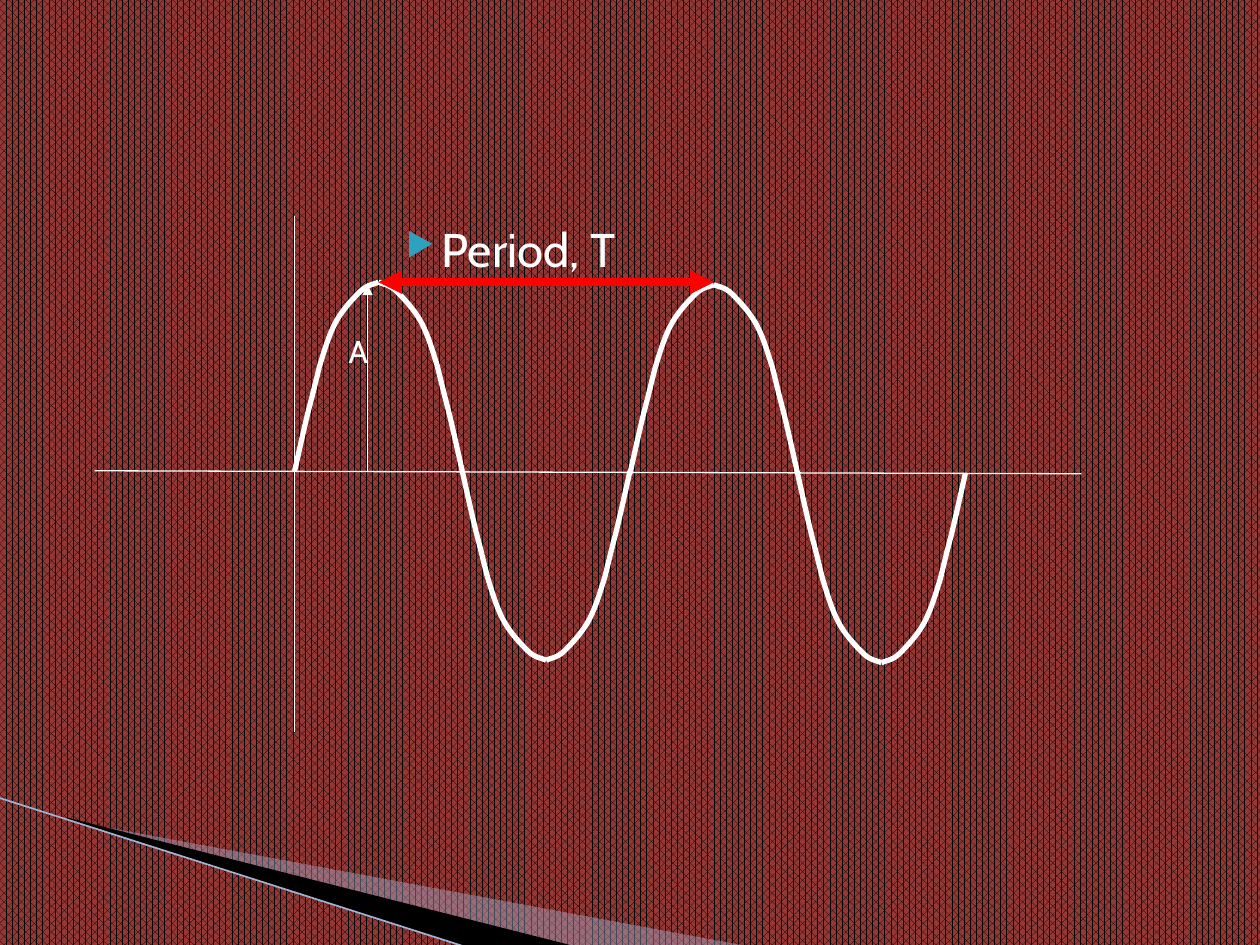
from lxml import etree
from pptx import Presentation
from pptx.dml.color import RGBColor
from pptx.enum.dml import MSO_PATTERN
from pptx.enum.shapes import MSO_CONNECTOR
from pptx.oxml.ns import qn
from pptx.util import Cm, Pt

DOTS = MSO_PATTERN.PERCENT_70
LINE = MSO_CONNECTOR.STRAIGHT
FONT = "Cabin"
INK = {"back": "953735", "black": "000000", "white": "FFFFFF", "red": "FF0000",
       "mist": "A7B9DB", "edge": "9EB3D6", "mark": "2DA2BF"}

# Rising quarter of the wave as unit Bezier points: start, then three per curve
RISE = [(0, 0), (.06, .12), (.12, .24), (.17, .33), (.23, .43), (.26, .49),
        (.30, .56), (.35, .63), (.40, .71), (.48, .78), (.56, .85), (.69, .91),
        (.78, .95), (.87, .99), (.96, .99), (1, 1)]


def tint(name):
    return RGBColor.from_string(INK[name])


def add_line(slide, start, end, color, width, ends=()):
    line = slide.shapes.add_connector(LINE, *map(Cm, start + end))
    line.line.color.rgb = tint(color)
    line.line.width = Pt(width)
    pen = line.line._get_or_add_ln()
    for tag in ends:
        etree.SubElement(pen, qn(tag), type="triangle")
    etree.SubElement(line._element.spPr, qn("a:effectLst"))


def add_path(slide, points, closed):
    spots = [(Cm(x), Cm(y)) for x, y in points]
    path = slide.shapes.build_freeform(*spots[0], scale=1.0)
    path.add_line_segments(spots[1:], close=closed)
    shape = path.convert_to_shape()
    shape.shadow.inherit = False
    return shape


def bend(shape):
    """Turn each three line segments into one cubic Bezier curve."""
    outline = shape._element.spPr.find(".//" + qn("a:path"))
    legs = outline.findall(qn("a:lnTo"))
    for i in range(0, len(legs), 3):
        cubic = etree.SubElement(outline, qn("a:cubicBezTo"))
        for leg in legs[i:i + 3]:
            cubic.append(leg[0])
            outline.remove(leg)


def add_text(slide, box, text, size):
    frame = slide.shapes.add_textbox(*map(Cm, box)).text_frame
    frame.word_wrap = True
    para = frame.paragraphs[0]
    para.text = text
    font = para.runs[0].font
    font.name, font.size = FONT, Pt(size)
    font.color.rgb = tint("white")
    return para


def add_bullet(para, left, hang):
    props = para._p.get_or_add_pPr()
    props.set("marL", str(Cm(left)))
    props.set("indent", str(-Cm(hang)))
    color = etree.SubElement(props, qn("a:buClr"))
    etree.SubElement(color, qn("a:srgbClr"), val=INK["mark"])
    etree.SubElement(props, qn("a:buSzPct"), val="68000")
    etree.SubElement(props, qn("a:buChar"), char="▶")


def draw_corner(slide, left, top):
    """Wedges and edge line at the lower left."""
    wedges = [("mist", 40, [(1.4, .46), (15.11, 3), (11.58, 3), (1.4, .43)]),
              ("black", 100, [(1.35, .4), (11.61, 3), (9.45, 3.02), (1.37, .43)])]
    for color, alpha, points in wedges:
        shape = add_path(slide, [(left + x, top + y) for x, y in points], True)
        shape.fill.solid()
        shape.fill.fore_color.rgb = tint(color)
        shape.line.fill.background()
        if alpha < 100:
            fill = shape._element.spPr.find(".//" + qn("a:srgbClr"))
            etree.SubElement(fill, qn("a:alpha"), val=str(alpha * 1000))
    add_line(slide, (left - .03, top), (left + 9.42, top + 3.02), "edge", .95)


def draw_wave(slide, left, mid, wide, high):
    """Two cycles; each quarter is the rising one, mirrored as needed."""
    for i in range(8):
        cycle, part = divmod(i, 4)
        back = part % 2
        sign = -1 if part < 2 else 1
        start = left + (i + back) * wide
        base = mid + cycle * .05
        points = [(start + (-x if back else x) * wide, base + sign * y * high)
                  for x, y in RISE]
        shape = add_path(slide, points, False)
        bend(shape)
        shape.fill.background()
        shape.line.color.rgb = tint("white")
        shape.line.width = Pt(3)


def draw_graph(slide, left, mid, wide, high):
    """Axes, wave and its measures, placed from the wave's origin."""
    peak = left + wide
    crest = mid - high
    # Axes and wave
    add_line(slide, (left - 4.03, mid - .01), (left + 15.86, mid + .05), "white", .75)
    draw_wave(slide, left, mid, wide, high)
    add_line(slide, (left, mid + 5.25), (left, mid - 5.14), "white", .75)
    # Period
    label = add_text(slide, (peak, crest - 1.37, 6.12, 1.42), "Period, T", 27)
    add_bullet(label, 1.02, .71)
    add_line(slide, (peak, crest), (peak + 4 * wide, crest), "red", 4.5,
             ("a:headEnd", "a:tailEnd"))
    # Amplitude
    add_text(slide, (left + .84, crest + .87, 2.95, 1.02), "A", 18)
    add_line(slide, (left + 1.47, mid), (left + 1.47, crest + .05), "white", .75,
             ("a:tailEnd",))


def main():
    deck = Presentation()
    deck.slide_width, deck.slide_height = Cm(25.4), Cm(19.05)
    slide = deck.slides.add_slide(deck.slide_layouts[6])
    fill = slide.background.fill
    fill.patterned()
    fill.pattern = DOTS
    fill.fore_color.rgb = tint("black")
    fill.back_color.rgb = tint("back")
    draw_corner(slide, 0, 16.08)
    draw_graph(slide, 5.94, 9.5, 1.69, 3.81)
    deck.save("out.pptx")


if __name__ == "__main__":
    main()
